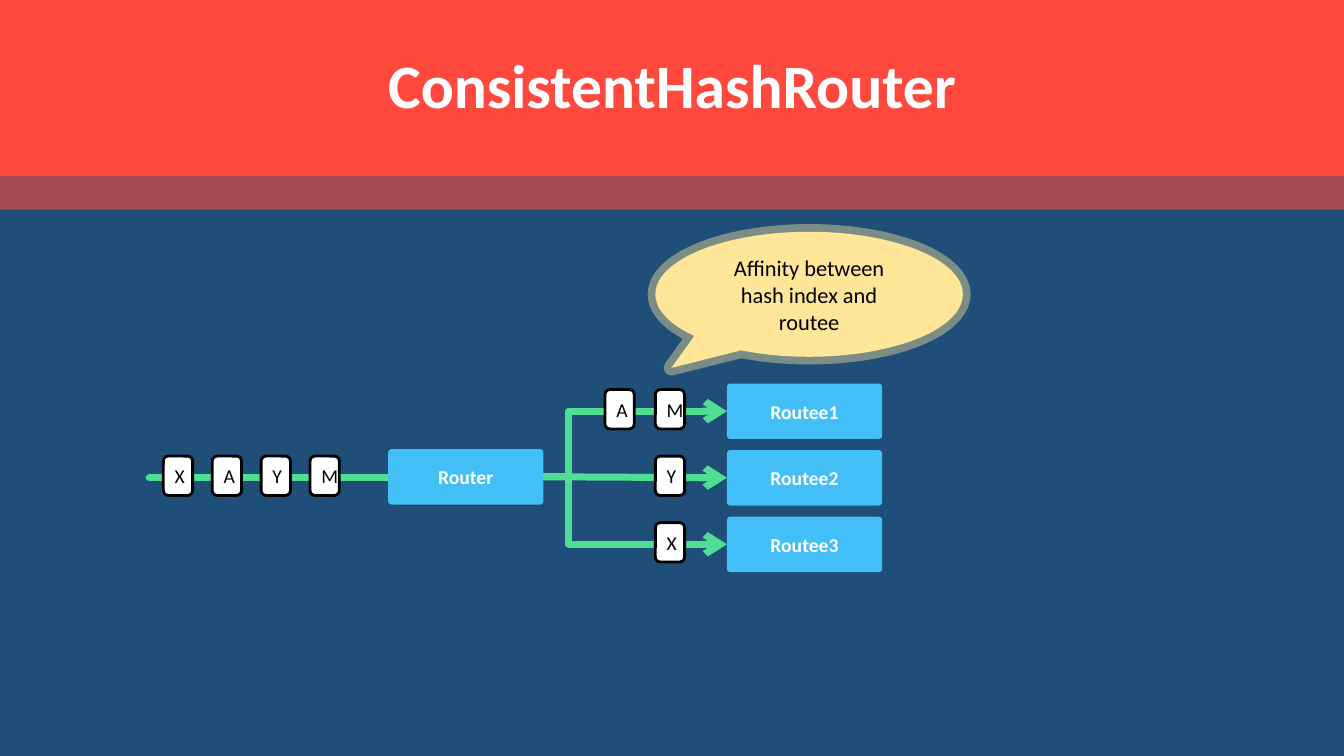
from lxml.etree import SubElement
from pptx import Presentation
from pptx.dml.color import RGBColor
from pptx.enum.shapes import MSO_CONNECTOR, MSO_SHAPE
from pptx.enum.text import MSO_ANCHOR, MSO_AUTO_SIZE, PP_ALIGN
from pptx.oxml.ns import qn
from pptx.util import Inches, Pt

NAVY = RGBColor(0x1F, 0x4E, 0x79)
RED = RGBColor(0xFF, 0x49, 0x3E)
GREEN = RGBColor(0x50, 0xDE, 0x94)
BLUE = RGBColor(0x43, 0xBF, 0xF7)
YELLOW = RGBColor(0xFF, 0xE6, 0x99)
WHITE = RGBColor(0xFF, 0xFF, 0xFF)
BLACK = RGBColor(0, 0, 0)

ROUTER_LEFT, ROUTER_MIDDLE = 3.85, 4.73
ROUTEE_LEFT, ROUTEE_PITCH = 7.21, 0.66
NODE_WIDTH, NODE_HEIGHT = 1.54, 0.55
MESSAGE_WIDTH, MESSAGE_HEIGHT = 0.29, 0.39


def set_opacity(fill_parent, percent):
    color = fill_parent.find(qn("a:solidFill"))[0]
    SubElement(color, qn("a:alpha"), val=str(percent * 1000))


class RouterSlide:
    """Holds the font, the slide and the group that receives the diagram."""

    font_name = "Calibri"

    def __init__(self, presentation):
        self.slide = presentation.slides.add_slide(presentation.slide_layouts[5])
        self.slide.background.fill.solid()
        self.slide.background.fill.fore_color.rgb = NAVY
        self.title = self.slide.shapes.title
        self.diagram = None

    def start_diagram(self):
        self.diagram = self.slide.shapes.add_group_shape()

    def set_text(self, shape, text, size, color, bold=False):
        frame = shape.text_frame
        frame.text = text
        frame.word_wrap = True
        frame.vertical_anchor = MSO_ANCHOR.MIDDLE
        paragraph = frame.paragraphs[0]
        paragraph.alignment = PP_ALIGN.CENTER
        paragraph.font.name = self.font_name
        paragraph.font.size = Pt(size)
        paragraph.font.bold = bold
        paragraph.font.color.rgb = color
        return paragraph

    def add_title(self, text, left, top, width, height):
        self.title.left, self.title.top = Inches(left), Inches(top)
        self.title.width, self.title.height = Inches(width), Inches(height)
        paragraph = self.set_text(self.title, text, 44, WHITE, bold=True)
        paragraph.line_spacing = 0.9
        self.title.text_frame.auto_size = MSO_AUTO_SIZE.NONE

    def add_shape(self, kind, left, top, width, height, fill,
                  adjustments=(), line=None, line_width=0, container=None):
        shapes = (container or self.slide).shapes
        shape = shapes.add_shape(kind, Inches(left), Inches(top), Inches(width), Inches(height))
        shape.shadow.inherit = False
        for index, value in enumerate(adjustments):
            shape.adjustments[index] = value
        shape.fill.solid()
        shape.fill.fore_color.rgb = fill
        if line is None:
            shape.line.fill.background()
        else:
            shape.line.color.rgb = line
            shape.line.width = Pt(line_width)
        return shape

    def add_node(self, text, left, middle):
        node = self.add_shape(MSO_SHAPE.ROUNDED_RECTANGLE, left, middle - NODE_HEIGHT / 2,
                              NODE_WIDTH, NODE_HEIGHT, BLUE, [0.062], container=self.diagram)
        self.set_text(node, text, 14, WHITE, bold=True)

    def add_message(self, text, left, middle):
        message = self.add_shape(MSO_SHAPE.ROUNDED_RECTANGLE, left, middle - MESSAGE_HEIGHT / 2,
                                 MESSAGE_WIDTH, MESSAGE_HEIGHT, WHITE, line=BLACK,
                                 line_width=2, container=self.diagram)
        self.set_text(message, text, 14, BLACK)

    def add_link(self, start, end, bend=None, arrow=True):
        kind = MSO_CONNECTOR.STRAIGHT if bend is None else MSO_CONNECTOR.ELBOW
        link = self.diagram.shapes.add_connector(kind, *map(Inches, (*start, *end)))
        link.line.color.rgb = GREEN
        link.line.width = Pt(5)
        properties = link.element.spPr
        if bend is not None:
            guides = properties.find(qn("a:prstGeom")).get_or_add_avLst()
            SubElement(guides, qn("a:gd"), name="adj1", fmla=f"val {round(bend * 100000)}")
        outline = properties.find(qn("a:ln"))
        outline.set("cap", "rnd")
        SubElement(outline, qn("a:round"))
        if arrow:
            SubElement(outline, qn("a:tailEnd"), type="arrow")
        SubElement(properties, qn("a:effectLst"))


def main():
    presentation = Presentation()
    presentation.slide_width = Inches(13.33)
    presentation.slide_height = Inches(7.5)
    page = RouterSlide(presentation)

    banner = page.add_shape(MSO_SHAPE.ROUNDED_RECTANGLE, 0, 0, 13.33, 1.75, RED, [0])
    page.title.element.addprevious(banner.element)
    page.add_title("ConsistentHashRouter", 0.92, 0.15, 11.5, 1.45)

    page.start_diagram()
    router_exit = (ROUTER_LEFT + NODE_WIDTH, ROUTER_MIDDLE)
    routee_middles = [ROUTER_MIDDLE + 0.01 + step * ROUTEE_PITCH for step in (-1, 0, 1)]
    for middle, bend in zip(routee_middles, (0.135, None, 0.135)):
        page.add_link(router_exit, (ROUTEE_LEFT, middle), bend)
    page.add_link((1.48, 4.74), (ROUTER_LEFT, 4.74), arrow=False)

    for index, letter in enumerate("XAYM"):
        page.add_message(letter, 1.62 + index * 0.485, 4.72)
    for letters, middle in zip(("MA", "Y", "X"), routee_middles):
        for index, letter in enumerate(letters):
            page.add_message(letter, 6.5 - index * 0.5, middle - 0.02)

    page.add_node("Router", ROUTER_LEFT, ROUTER_MIDDLE)
    for number, middle in enumerate(routee_middles, start=1):
        page.add_node(f"Routee{number}", ROUTEE_LEFT, middle)

    callout = page.add_shape(MSO_SHAPE.OVAL_CALLOUT, 6.5, 2.3, 3.05, 1.24, YELLOW,
                             [-0.448, 0.589], line=YELLOW, line_width=11)
    set_opacity(callout.element.spPr.find(qn("a:ln")), 42)
    page.set_text(callout, "Affinity between hash index and routee", 16, BLACK)

    band = page.add_shape(MSO_SHAPE.RECTANGLE, 0, 1.75, 13.33, 0.33, RED)
    set_opacity(band.element.spPr, 60)

    presentation.save("out.pptx")


if __name__ == "__main__":
    main()
